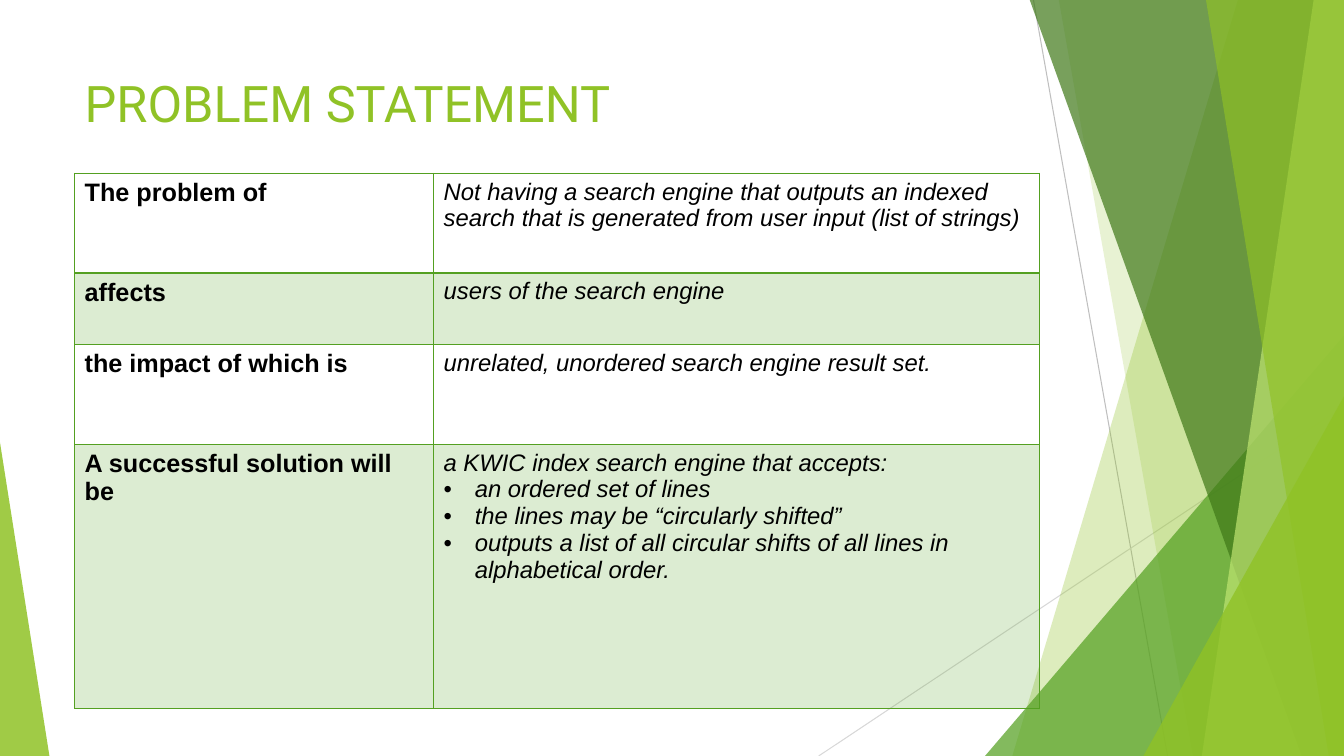
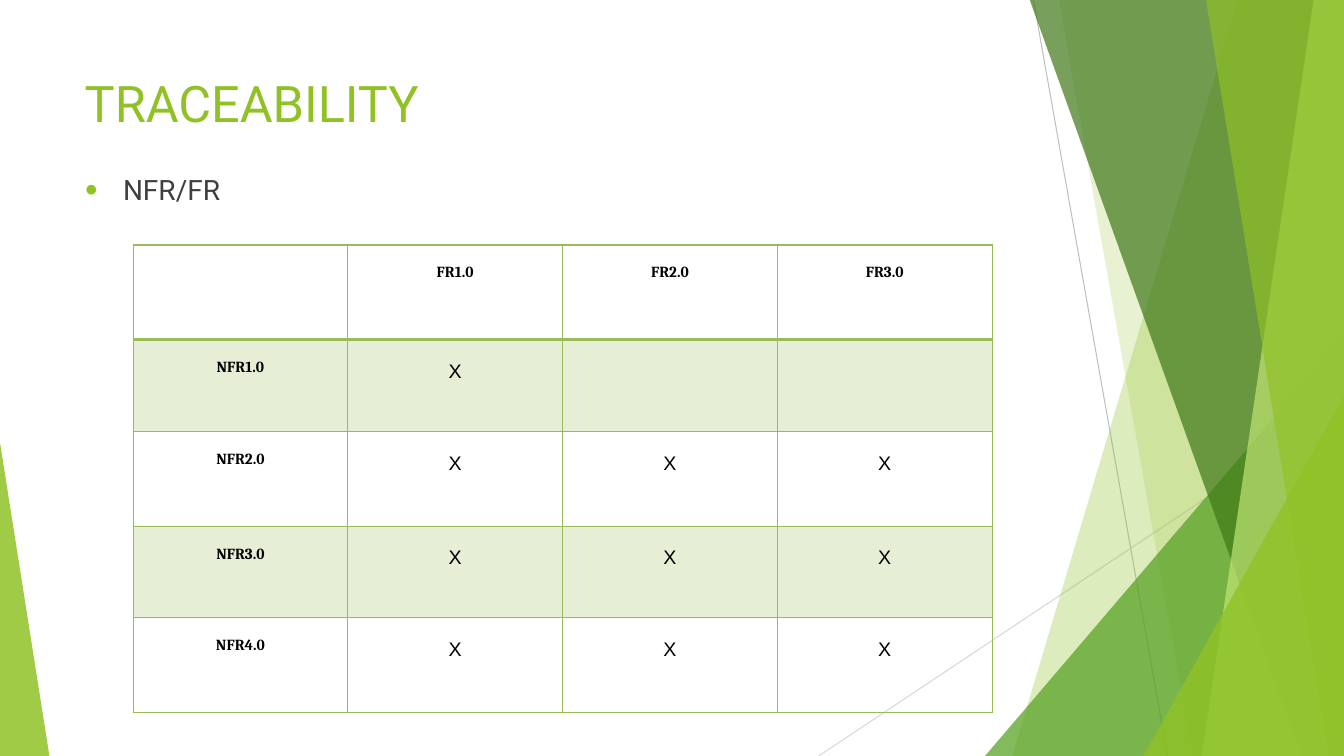
import pptx
import pptx.dml.color
import pptx.enum.shapes
import pptx.enum.text
import pptx.oxml
import pptx.oxml.ns
import pptx.util
from lxml import etree

Inches = pptx.util.Inches
Pt = pptx.util.Pt
RGBColor = pptx.dml.color.RGBColor
qn = pptx.oxml.ns.qn

WIDTH, HEIGHT = 13.33, 7.5
LIME = RGBColor(0x90, 0xC2, 0x26)
GREEN = RGBColor(0x54, 0xA0, 0x21)
DARK_GREEN = RGBColor(0x3F, 0x78, 0x18)
PALE_LIME = RGBColor(0xBF, 0xE4, 0x71)
OLIVE = RGBColor(0x9B, 0xBB, 0x59)
PALE_OLIVE = RGBColor(0xE6, 0xEE, 0xD5)
GREY = RGBColor(0xBF, 0xBF, 0xBF)
LIGHT_GREY = RGBColor(0xD8, 0xD8, 0xD8)
CHARCOAL = RGBColor(0x3F, 0x3F, 0x3F)
BLACK = RGBColor(0, 0, 0)

TITLE_ONLY, TITLE_AND_CONTENT = 5, 1

HAIRLINES = [
    ((10.25, 0), (11.58, HEIGHT), GREY),
    ((WIDTH, 4.03), (8.12, HEIGHT), LIGHT_GREY),
]
BAND, TRIANGLE = "band", "triangle"
WEDGES = [
    (BAND, (12.28, 10.04), LIME, 30),
    (BAND, (10.5, 11.83), LIME, 20),
    (TRIANGLE, (9.77, 3.56, 4.17, 1), GREEN, 72),
    (BAND, (10.21, 12.91), DARK_GREEN, 70),
    (BAND, (13.03, 11.92), PALE_LIME, 70),
    (BAND, (11.96, 13.18), LIME, 65),
    (TRIANGLE, (11.34, 1.99, 3.57, 1), LIME, 80),
    (TRIANGLE, (0, 0.49, 3.11, 0), LIME, 85),
]

PROBLEM_ROWS = [
    ("The problem of",
     ["Not having a search engine that outputs an indexed search that is "
      "generated from user input (list of strings)"]),
    ("affects", ["users of the search engine"]),
    ("the impact of which is", ["unrelated, unordered search engine result set."]),
    ("A successful solution will be",
     ["a KWIC index search engine that accepts:",
      "an ordered set of lines",
      "the lines may be “circularly shifted”",
      "outputs a list of all circular shifts of all lines in alphabetical order."]),
]
TRACE_ROWS = [
    ["", "FR1.0", "FR2.0", "FR3.0"],
    ["NFR1.0", "X", "", ""],
    ["NFR2.0", "X", "X", "X"],
    ["NFR3.0", "X", "X", "X"],
    ["NFR4.0", "X", "X", "X"],
]


def set_fill(fill, colour, opacity=100):
    fill.solid()
    fill.fore_color.rgb = colour
    if opacity < 100:
        colour_element = fill._xPr.find(qn("a:solidFill"))[0]
        etree.SubElement(colour_element, qn("a:alpha"), val=str(opacity * 1000))


def set_font(paragraph, name, size, colour, bold=False, italic=False):
    font = paragraph.font
    font.name, font.size = name, Pt(size)
    font.bold, font.italic = bold, italic
    font.color.rgb = colour


def set_bullet(paragraph, character, colour, indent, percent=100):
    properties = paragraph._p.get_or_add_pPr()
    properties.set("marL", str(Inches(indent)))
    properties.set("indent", str(-Inches(indent)))
    bullet_colour = etree.SubElement(properties, qn("a:buClr"))
    etree.SubElement(bullet_colour, qn("a:srgbClr"), val=str(colour))
    etree.SubElement(properties, qn("a:buSzPct"), val=str(percent * 1000))
    etree.SubElement(properties, qn("a:buFont"), typeface="Arial")
    etree.SubElement(properties, qn("a:buChar"), char=character)


def place(shape, left, top, width, height):
    shape.left, shape.top = Inches(left), Inches(top)
    shape.width, shape.height = Inches(width), Inches(height)


def add_hairline(shapes, start, end, colour):
    line = shapes.add_connector(
        pptx.enum.shapes.MSO_CONNECTOR.STRAIGHT,
        *(Inches(value) for value in start + end))
    line.line.color.rgb = colour
    line.line.width = Pt(0.75)
    etree.SubElement(line.element.spPr, qn("a:effectLst"))


def add_band(shapes, top_x, bottom_x):
    corners = [(top_x, -0.01), (WIDTH, -0.01), (WIDTH, HEIGHT), (bottom_x, HEIGHT)]
    points = [(Inches(x), Inches(y)) for x, y in corners]
    builder = shapes.build_freeform(*points[0])
    builder.add_line_segments(points[1:], close=True)
    return builder.convert_to_shape()


def add_triangle(shapes, left, width, height, apex):
    triangle = shapes.add_shape(
        pptx.enum.shapes.MSO_SHAPE.ISOSCELES_TRIANGLE,
        Inches(left), Inches(HEIGHT - height), Inches(width), Inches(height))
    triangle.adjustments[0] = apex
    return triangle


def decorate_master(master, slide):
    group = slide.shapes.add_group_shape()
    for hairline in HAIRLINES:
        add_hairline(group.shapes, *hairline)
    builders = {BAND: add_band, TRIANGLE: add_triangle}
    for kind, geometry, colour, opacity in WEDGES:
        wedge = builders[kind](group.shapes, *geometry)
        set_fill(wedge.fill, colour, opacity)
        wedge.line.fill.background()
        wedge.shadow.inherit = False
    for number, properties in enumerate(group.element.iter(qn("p:cNvPr")), 20):
        properties.set("id", str(number))
    master.shapes.element.insert(2, group.element)


def add_titled_slide(presentation, layout, text):
    slide = presentation.slides.add_slide(presentation.slide_layouts[layout])
    title = slide.shapes.title
    place(title, 0.74, 0.67, 9.4, 1.44)
    frame = title.text_frame
    frame.text = text
    frame.vertical_anchor = pptx.enum.text.MSO_ANCHOR.TOP
    paragraph = frame.paragraphs[0]
    paragraph.alignment = pptx.enum.text.PP_ALIGN.LEFT
    set_font(paragraph, "Roboto", 36, LIME)
    return slide


def set_borders(cell, colour, top, bottom):
    properties = cell._tc.get_or_add_tcPr()
    for side, width in (("L", 1), ("R", 1), ("T", top), ("B", bottom)):
        line = etree.SubElement(properties, qn(f"a:ln{side}"), w=str(Pt(width)))
        fill = etree.SubElement(line, qn("a:solidFill"))
        etree.SubElement(fill, qn("a:srgbClr"), val=str(colour))


def add_banded_table(slide, left, top, widths, heights, border, rule, band, opacity=100):
    table = slide.shapes.add_table(
        len(heights), len(widths), Inches(left), Inches(top),
        Inches(sum(widths)), Inches(sum(heights))).table
    table.first_row = table.horz_banding = False
    for column, width in zip(table.columns, widths):
        column.width = Inches(width)
    for index, (row, height) in enumerate(zip(table.rows, heights)):
        row.height = Inches(height)
        for cell in row.cells:
            set_borders(cell, border, rule if index == 1 else 1, rule if index == 0 else 1)
            if index % 2:
                set_fill(cell.fill, band, opacity)
            else:
                cell.fill.background()
    return table


def build_problem_slide(slide):
    table = add_banded_table(slide, 0.74, 1.72, [3.56, 6.01], [0.99, 0.71, 0.99, 2.62],
                             GREEN, 2, GREEN, 20)
    for row, (label, lines) in zip(table.rows, PROBLEM_ROWS):
        label_cell, detail_cell = row.cells
        label_cell.text = label
        set_font(label_cell.text_frame.paragraphs[0], "Arial", 18, BLACK, bold=True)
        detail_cell.text = "\n".join(lines)
        for index, paragraph in enumerate(detail_cell.text_frame.paragraphs):
            if index:
                set_bullet(paragraph, "•", BLACK, 0.31)
            set_font(paragraph, "Arial", 17, BLACK, italic=True)


def build_traceability_slide(slide):
    body = slide.placeholders[1]
    place(body, 0.74, 1.66, 9.92, 5.11)
    body.text_frame.text = "NFR/FR"
    paragraph = body.text_frame.paragraphs[0]
    set_bullet(paragraph, "●", LIME, 0.38, 80)
    paragraph.space_before = Pt(0)
    set_font(paragraph, "Roboto", 20, CHARCOAL)

    table = add_banded_table(slide, 1.32, 2.43, [2.13] * 4, [0.94, 0.91, 0.94, 0.91, 0.94],
                             OLIVE, 2.25, PALE_OLIVE)
    for row, texts in zip(table.rows, TRACE_ROWS):
        for cell, text in zip(row.cells, texts):
            cell.margin_left = cell.margin_right = Inches(0.07)
            cell.margin_top = cell.margin_bottom = Inches(0.1)
            if not text:
                continue
            cell.text = text
            paragraph = cell.text_frame.paragraphs[0]
            paragraph.alignment = pptx.enum.text.PP_ALIGN.CENTER
            paragraph.line_spacing = 1.5
            if text == "X":
                set_font(paragraph, "Arial", 14, BLACK)
            else:
                set_font(paragraph, "Cambria", 11, BLACK, bold=True)


def main():
    presentation = pptx.Presentation()
    presentation.slide_width = Inches(WIDTH)
    presentation.slide_height = Inches(HEIGHT)
    problem = add_titled_slide(presentation, TITLE_ONLY, "PROBLEM STATEMENT")
    decorate_master(presentation.slide_master, problem)
    build_problem_slide(problem)
    build_traceability_slide(
        add_titled_slide(presentation, TITLE_AND_CONTENT, "TRACEABILITY"))
    presentation.save("out.pptx")


if __name__ == "__main__":
    main()
